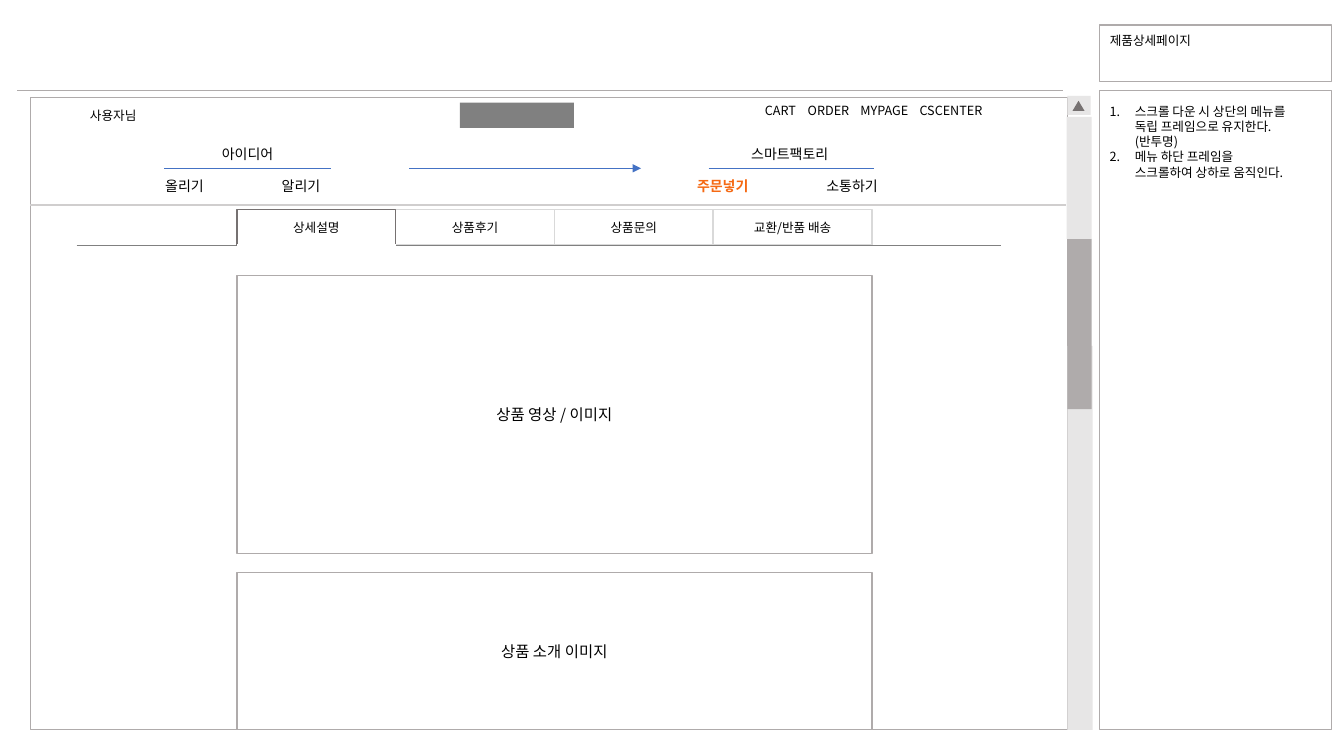
from dataclasses import dataclass

import pptx
import pptx.dml.color
import pptx.enum.shapes
import pptx.enum.text
import pptx.oxml.ns
import pptx.util
from lxml import etree

Pt = pptx.util.Pt
MSO = pptx.enum.shapes.MSO_SHAPE
ALIGN = pptx.enum.text.PP_ALIGN
ANCHOR = pptx.enum.text.MSO_ANCHOR
qn = pptx.oxml.ns.qn


@dataclass(frozen=True)
class Theme:
    font: str = "Noto Sans CJK KR"
    text: str = "000000"
    white: str = "FFFFFF"
    accent: str = "F56913"
    arrow: str = "4472C4"
    gray: str = "808080"
    frame: str = "AFABAB"
    tab: str = "D9D9D9"
    active: str = "767171"
    divider: str = "D0CECE"
    track: str = "E7E6E6"
    small: float = 9
    menu: float = 10
    body: float = 11


THEME = Theme()


def rgb(value):
    return pptx.dml.color.RGBColor.from_string(value)


def add_run(p, text, size=THEME.small, color=THEME.text, bold=False):
    r = p.add_run()
    r.text = text
    r.font.size = Pt(size)
    r.font.bold = bold
    r.font.color.rgb = rgb(color)
    r.font.name = THEME.font
    ea = etree.SubElement(r.font._element, qn("a:ea"))
    ea.set("typeface", THEME.font)


def add_box(slide, left, top, width, height, fill=None, line=None, shape=MSO.RECTANGLE):
    sp = slide.shapes.add_shape(shape, Pt(left), Pt(top), Pt(width), Pt(height))
    sp.shadow.inherit = False
    if fill:
        sp.fill.solid()
        sp.fill.fore_color.rgb = rgb(fill)
    else:
        sp.fill.background()
    if line:
        sp.line.color.rgb = rgb(line)
        sp.line.width = Pt(1)
    else:
        sp.line.fill.background()
    return sp


def add_panel(slide, left, top, width, height, text, line, size):
    """Outlined box with a centred caption."""
    sp = add_box(slide, left, top, width, height, line=line)
    tf = sp.text_frame
    tf.word_wrap = True
    tf.vertical_anchor = ANCHOR.MIDDLE
    p = tf.paragraphs[0]
    p.alignment = ALIGN.CENTER
    add_run(p, text, size)


def add_text(slide, left, top, width, height, align=ALIGN.LEFT):
    """Empty wrapped text box; returns its text frame."""
    tf = slide.shapes.add_textbox(Pt(left), Pt(top), Pt(width), Pt(height)).text_frame
    tf.word_wrap = True
    tf.paragraphs[0].alignment = align
    return tf


def add_menu_label(slide, center, top, text, color=THEME.text, bold=False):
    width = 100
    tf = add_text(slide, center - width / 2, top, width, 19.4, ALIGN.CENTER)
    add_run(tf.paragraphs[0], text, THEME.menu, color, bold)


def add_rule(slide, x1, x2, y, color, weight, arrow=False):
    """Horizontal line, with an arrowhead at x2 if asked."""
    line = slide.shapes.add_connector(
        pptx.enum.shapes.MSO_CONNECTOR.STRAIGHT, Pt(x1), Pt(y), Pt(x2), Pt(y))
    line.line.color.rgb = rgb(color)
    line.line.width = Pt(weight)
    if arrow:
        etree.SubElement(line.line._get_or_add_ln(), qn("a:tailEnd")).set("type", "triangle")
    etree.SubElement(line._element.spPr, qn("a:effectLst"))


def add_numbered(tf, items):
    for i, text in enumerate(items):
        p = tf.add_paragraph() if i else tf.paragraphs[0]
        pPr = p._p.get_or_add_pPr()
        pPr.set("marL", str(Pt(18)))
        pPr.set("indent", str(-Pt(18)))
        etree.SubElement(pPr, qn("a:buFont")).set("typeface", THEME.font)
        etree.SubElement(pPr, qn("a:buAutoNum")).set("type", "arabicPeriod")
        add_run(p, text)


def set_title(slide, text):
    sp = slide.shapes.title
    sp.left, sp.top, sp.width, sp.height = Pt(785.5), Pt(20.2), Pt(147.6), Pt(18)
    tf = sp.text_frame
    tf.word_wrap = True
    tf.auto_size = pptx.enum.text.MSO_AUTO_SIZE.NONE
    tf.vertical_anchor = ANCHOR.TOP
    p = tf.paragraphs[0]
    p.alignment = ALIGN.LEFT
    add_run(p, text)


def add_scrollbar(slide):
    add_box(slide, 762.5, 247, 18, 274.3, fill=THEME.track)
    add_box(slide, 762.5, 170.6, 17.3, 121.7, fill=THEME.frame)
    add_box(slide, 762.5, 68.4, 16.6, 13.7, fill=THEME.track)
    add_box(slide, 766.1, 72, 8.6, 7.2, fill=THEME.active, shape=MSO.ISOSCELES_TRIANGLE)
    add_box(slide, 761.8, 83.5, 18, 87.1, fill=THEME.track)


def add_header(slide):
    user = add_box(slide, 26.6, 73.4, 213.1, 18, fill=THEME.white)
    tf = user.text_frame
    tf.margin_left = Pt(37.7)
    tf.vertical_anchor = ANCHOR.TOP
    tf.paragraphs[0].alignment = ALIGN.LEFT
    add_run(tf.paragraphs[0], "사용자님")

    add_box(slide, 328.6, 73.4, 81.4, 18, fill=THEME.gray)

    p = add_text(slide, 539.3, 69.8, 213.1, 18).paragraphs[0]
    tabs = etree.SubElement(p._p.get_or_add_pPr(), qn("a:tabLst"))
    for stop in (30.6, 68.3, 110.5):
        tab = etree.SubElement(tabs, qn("a:tab"))
        tab.set("pos", str(Pt(stop)))
        tab.set("algn", "l")
    add_run(p, "CART\tORDER\tMYPAGE\tCSCENTER")

    for center, text in ((176.8, "아이디어"), (564.1, "스마트팩토리")):
        add_menu_label(slide, center, 100.1, text)
    for center, text in ((131.8, "올리기"), (215, "알리기"), (608.6, "소통하기")):
        add_menu_label(slide, center, 123.1, text)
    add_menu_label(slide, 516.2, 123.1, "주문넣기", THEME.accent, bold=True)
    for x1, x2, arrow in ((117.4, 236.2, False), (506.2, 624.2, False), (292.3, 457.9, True)):
        add_rule(slide, x1, x2, 120.2, THEME.arrow, 0.5, arrow)
    add_rule(slide, 21.6, 761.8, 146.2, THEME.divider, 1.5)


def add_tabs(slide, left, width, names):
    """Row of equal tabs, the first one open."""
    top, height = 149.8, 25.2
    step = width / len(names)
    for i, name in enumerate(names[1:], 1):
        add_panel(slide, left + i * step, top, step, height, name, THEME.tab, THEME.small)
    add_rule(slide, 54.7, 715, 175.5, THEME.gray, 0.75)
    add_panel(slide, left, top, step, height, names[0], THEME.active, THEME.small)
    add_rule(slide, left, left + step, top + height, THEME.white, 1)


def main():
    prs = pptx.Presentation()
    prs.slide_width, prs.slide_height = Pt(960), Pt(540)
    slide = prs.slides.add_slide(prs.slide_layouts[5])

    add_rule(slide, 12.2, 759.6, 64.8, THEME.frame, 0.5)
    add_box(slide, 21.6, 69.8, 740.9, 451.5, line=THEME.frame)
    add_box(slide, 785.5, 64.8, 165.6, 456.5, line=THEME.frame)
    add_box(slide, 785.5, 18, 165.6, 40.3, line=THEME.frame)
    set_title(slide, "제품상세페이지")
    add_scrollbar(slide)
    add_numbered(add_text(slide, 785.5, 70.6, 143.5, 61.9), (
        "스크롤 다운 시 상단의 메뉴를 독립 프레임으로 유지한다. (반투명)",
        "메뉴 하단 프레임을 스크롤하여 상하로 움직인다."))

    add_header(slide)
    left, width = 169.2, 453.6
    add_tabs(slide, left, width, ("상세설명", "상품후기", "상품문의", "교환/반품 배송"))
    for top, height, text in ((196.6, 198.7, "상품 영상 / 이미지"),
                              (409, 112.3, "상품 소개 이미지")):
        add_panel(slide, left, top, width, height, text, THEME.frame, THEME.body)

    prs.save("out.pptx")


if __name__ == "__main__":
    main()
